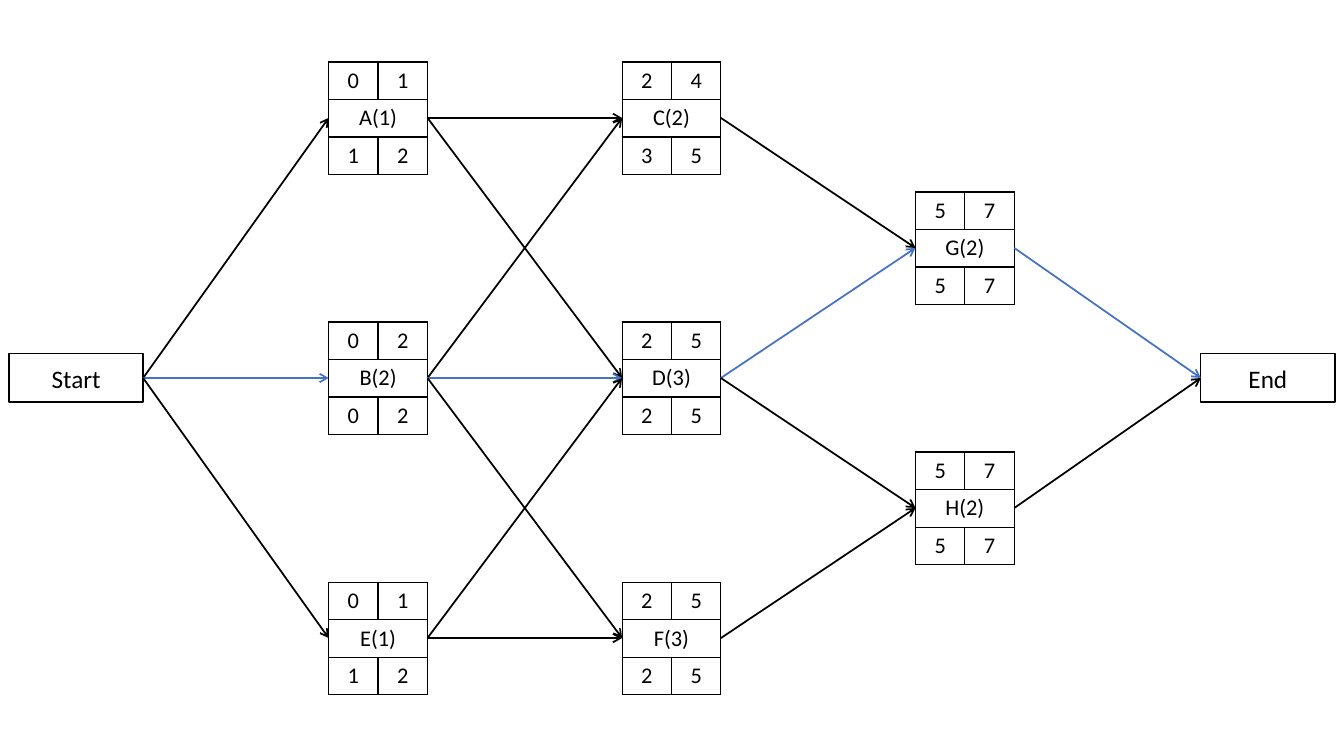
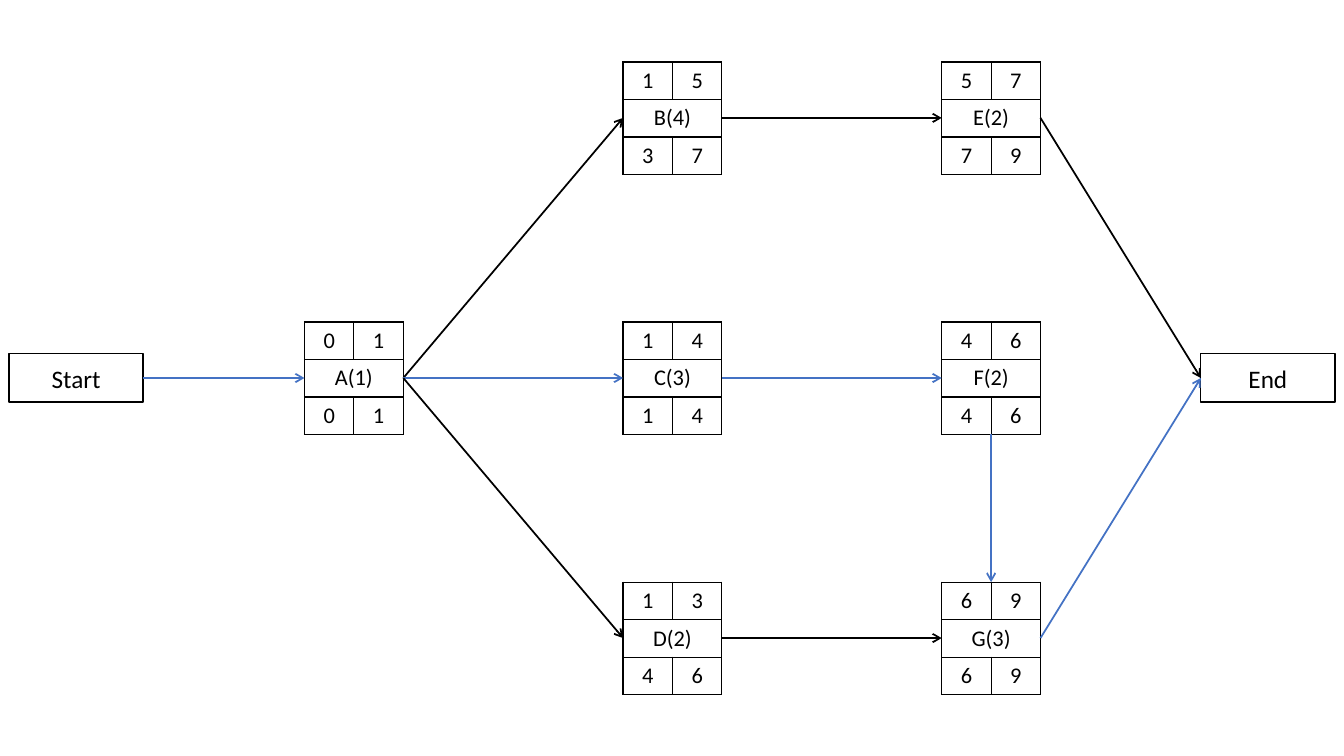
from collections import namedtuple

from lxml import etree
from pptx import Presentation
from pptx.dml.color import RGBColor
from pptx.enum.shapes import MSO_CONNECTOR, MSO_SHAPE
from pptx.enum.text import MSO_ANCHOR, PP_ALIGN
from pptx.oxml.ns import qn
from pptx.util import Inches, Pt

RECTANGLE = MSO_SHAPE.RECTANGLE
STRAIGHT = MSO_CONNECTOR.STRAIGHT
CENTER = PP_ALIGN.CENTER
MIDDLE = MSO_ANCHOR.MIDDLE

BLACK = RGBColor(0x00, 0x00, 0x00)
CRITICAL_BLUE = RGBColor(0x44, 0x72, 0xC4)
FONT = "Calibri"

# Grid in inches: rows are counted from the middle line of the slide
SLIDE_W, SLIDE_H = 13.33, 7.5
MIDDLE_Y = SLIDE_H / 2
ROW_STEP = 2.58
TASK_W, TASK_H = 0.98, 1.11
TERMINAL_W, TERMINAL_H = 1.33, 0.48
SIDE_MARGIN = 0.09
LEFT_SIDE, RIGHT_SIDE = 1, 3

Box = namedtuple("Box", "left middle width height terminal")
# A task holds its column, row, label, earliest times and latest times
Task = namedtuple("Task", "column row label earliest latest")
Network = namedtuple("Network", "first_left column_step tasks arrows critical")

FIRST_NETWORK = Network(
    3.26, 2.91,
    [
        Task(0, -1, "A(1)", "01", "12"),
        Task(0, 0, "B(2)", "02", "02"),
        Task(1, -1, "C(2)", "24", "35"),
        Task(1, 0, "D(3)", "25", "25"),
        Task(1, 1, "F(3)", "25", "25"),
        Task(0, 1, "E(1)", "01", "12"),
        Task(2, -0.5, "G(2)", "57", "57"),
        Task(2, 0.5, "H(2)", "57", "57"),
    ],
    "Start>A Start>B Start>E B>C A>C A>D B>D E>D B>F E>F "
    "C>G D>G D>H F>H G>End H>End",
    "Start>B B>D D>G G>End",
)
SECOND_NETWORK = Network(
    3.02, 3.16,
    [
        Task(0, 0, "A(1)", "01", "01"),
        Task(1, -1, "B(4)", "15", "37"),
        Task(1, 0, "C(3)", "14", "14"),
        Task(1, 1, "D(2)", "13", "46"),
        Task(2, 0, "F(2)", "46", "46"),
        Task(2, -1, "E(2)", "57", "79"),
        Task(2, 1, "G(3)", "69", "69"),
    ],
    "Start>A A>B A>C A>D B>E C>F D>G G>End F>G E>End",
    "Start>A A>C C>F F>G G>End",
)


def style_text(frame, size):
    paragraph = frame.paragraphs[0]
    paragraph.alignment = CENTER
    paragraph.font.size = Pt(size)
    paragraph.font.name = FONT
    paragraph.font.color.rgb = BLACK


def add_terminal(slide, label, left):
    """Place the Start or End rectangle on the middle line."""
    terminal = slide.shapes.add_shape(
        RECTANGLE, Inches(left), Inches(MIDDLE_Y - TERMINAL_H / 2),
        Inches(TERMINAL_W), Inches(TERMINAL_H))
    terminal.shadow.inherit = False
    terminal.fill.background()
    terminal.line.color.rgb = BLACK
    terminal.line.width = Pt(1)
    terminal.text_frame.text = label
    terminal.text_frame.vertical_anchor = MIDDLE
    style_text(terminal.text_frame, 18)
    return Box(left, MIDDLE_Y, TERMINAL_W, TERMINAL_H, terminal)


def add_cell_borders(cell):
    properties = cell._tc.get_or_add_tcPr()
    for position, side in enumerate(("lnL", "lnR", "lnT", "lnB")):
        border = etree.Element(qn("a:" + side), w=str(Pt(1)))
        fill = etree.SubElement(border, qn("a:solidFill"))
        etree.SubElement(fill, qn("a:srgbClr"), val=str(BLACK))
        properties.insert(position, border)


def add_task(slide, task, left, middle):
    """Place a task table: earliest times, label, latest times."""
    table = slide.shapes.add_table(
        3, 2, Inches(left), Inches(middle - TASK_H / 2),
        Inches(TASK_W), Inches(TASK_H)).table
    table.first_row = False
    table.horz_banding = False
    table.cell(1, 0).merge(table.cell(1, 1))
    for r, texts in enumerate((task.earliest, [task.label, ""], task.latest)):
        for c, text in enumerate(texts):
            cell = table.cell(r, c)
            cell.fill.background()
            add_cell_borders(cell)
            cell.text = text
            style_text(cell.text_frame, 16)
    return Box(left, middle, TASK_W, TASK_H, None)


def add_arrow(slide, source, target, color):
    """Join two boxes side to side, or downwards within one column."""
    if source.left == target.left:
        x = source.left + source.width / 2
        ends = (x, source.middle + source.height / 2,
                x, target.middle - target.height / 2)
    else:
        ends = (source.left + source.width, source.middle,
                target.left, target.middle)
    arrow = slide.shapes.add_connector(STRAIGHT, *map(Inches, ends))
    if source.terminal is not None:
        arrow.begin_connect(source.terminal, RIGHT_SIDE)
    if target.terminal is not None:
        arrow.end_connect(target.terminal, LEFT_SIDE)
    arrow.line.color.rgb = color
    arrow.line.width = Pt(1.25)
    etree.SubElement(arrow.line._get_or_add_ln(), qn("a:tailEnd"), type="arrow")
    etree.SubElement(arrow._element.spPr, qn("a:effectLst"))


def add_network_slide(prs, network):
    slide = prs.slides.add_slide(prs.slide_layouts[6])

    # Terminals
    boxes = {
        "Start": add_terminal(slide, "Start", SIDE_MARGIN),
        "End": add_terminal(slide, "End", SLIDE_W - SIDE_MARGIN - TERMINAL_W),
    }

    # Tasks
    for task in network.tasks:
        left = network.first_left + task.column * network.column_step
        middle = MIDDLE_Y + task.row * ROW_STEP
        boxes[task.label[0]] = add_task(slide, task, left, middle)

    # Dependencies, with the critical route in blue
    critical = network.critical.split()
    for link in network.arrows.split():
        source, target = link.split(">")
        color = CRITICAL_BLUE if link in critical else BLACK
        add_arrow(slide, boxes[source], boxes[target], color)


def main():
    prs = Presentation()
    prs.slide_width = Inches(SLIDE_W)
    prs.slide_height = Inches(SLIDE_H)
    for network in (FIRST_NETWORK, SECOND_NETWORK):
        add_network_slide(prs, network)
    prs.save("out.pptx")


if __name__ == "__main__":
    main()
